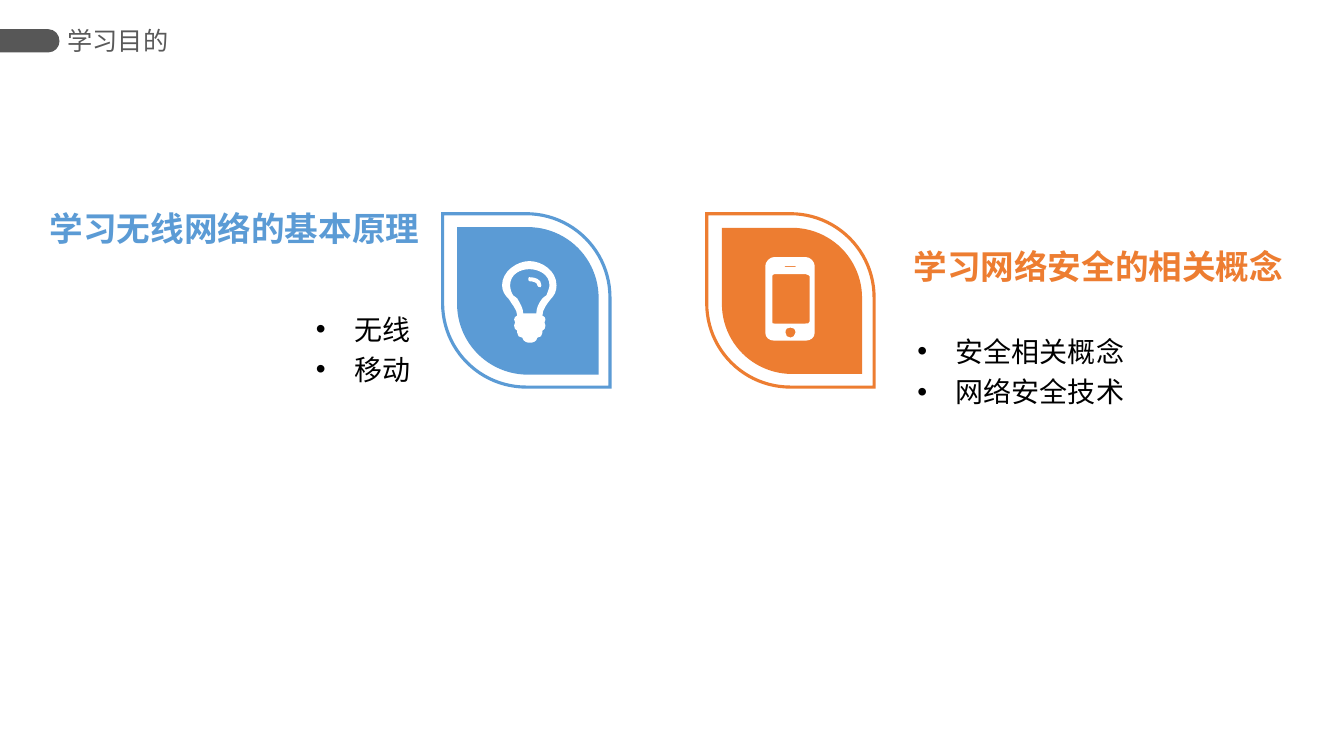
from lxml import etree
from pptx import Presentation
from pptx.dml.color import RGBColor
from pptx.enum import shapes, text
from pptx.oxml.ns import qn
from pptx.util import Inches, Pt

BLUE, ORANGE, WHITE, BLACK = "5B9BD5", "ED7D31", "FFFFFF", "000000"
DARK_GREY, TITLE_GREY = "575757", "595959"

presentation = Presentation()
presentation.slide_width, presentation.slide_height = Inches(13.33), Inches(7.5)
slide = presentation.slides.add_slide(presentation.slide_layouts[5])


def color(target, value):
    """Colour a font, or make a fill solid and colour it."""
    if hasattr(target, "solid"):
        target.solid()
        target.fore_color.rgb = RGBColor.from_string(value)
    else:
        target.color.rgb = RGBColor.from_string(value)


def add_outline(contours, fill):
    """Each contour is a start point, then lines (x, y) or cubic curves (six numbers)."""
    x, y = contours[0][0]
    builder = slide.shapes.build_freeform(Inches(x), Inches(y), scale=1.0)
    for index, (start, *segments) in enumerate(contours):
        if index:
            builder.move_to(Inches(start[0]), Inches(start[1]))
        builder.add_line_segments([(Inches(px), Inches(py)) for segment in segments
                                   for px, py in zip(segment[::2], segment[1::2])])
    shape = builder.convert_to_shape()
    # Join each three control points into one curve
    lines = iter(list(shape._element.iter(qn("a:lnTo"))))
    for segment in (segment for contour in contours for segment in contour[1:]):
        members = [next(lines) for _ in segment[::2]]
        if len(members) == 3:
            curve = etree.Element(qn("a:cubicBezTo"))
            members[0].addprevious(curve)
            for member in members:
                curve.append(member[0])
                member.getparent().remove(member)
    shape.shadow.inherit = False
    color(shape.fill, fill)
    shape.line.fill.background()


# Header tab
add_outline([[(0, 0.29), (0.48, 0.29), (0.54, 0.29, 0.59, 0.34, 0.59, 0.41),
              (0.59, 0.47, 0.54, 0.52, 0.48, 0.52), (0, 0.52)]], DARK_GREY)

# Leaf badges: outer ring and filled core
for left, accent in ((4.36, BLUE), (6.98, ORANGE)):
    for inset, top, width, height in ((0, 2.15, 1.72, 1.66), (0.15, 2.29, 1.45, 1.39)):
        leaf = slide.shapes.add_shape(shapes.MSO_SHAPE.ROUND_2_DIAG_RECTANGLE, Inches(left + inset),
                                      Inches(top), Inches(width), Inches(height))
        leaf.adjustments[0], leaf.adjustments[1] = 0.5, 0
        leaf.rotation = 270
        leaf.shadow.inherit = False
        if inset:
            color(leaf.fill, accent)
        else:
            leaf.fill.background()
        if inset and accent == ORANGE:
            leaf.line.fill.background()
        else:
            color(leaf.line.fill, accent)
            leaf.line.width = Pt(1 if inset else 2.25)
            outline = leaf._element.spPr.find(qn("a:ln"))
            etree.SubElement(outline, qn("a:miter")).set("lim", "800000")

# Light bulb: body, glass, glint
add_outline([
    [(5.46, 2.97), (5.43, 3.01, 5.38, 3.07, 5.38, 3.13), (5.4, 3.14, 5.41, 3.15, 5.41, 3.17),
     (5.41, 3.18, 5.4, 3.19, 5.4, 3.2), (5.4, 3.2, 5.41, 3.22, 5.41, 3.23),
     (5.41, 3.26, 5.4, 3.27, 5.38, 3.28), (5.38, 3.28, 5.38, 3.3, 5.38, 3.3),
     (5.38, 3.33, 5.36, 3.35, 5.33, 3.35),
     (5.32, 3.39, 5.29, 3.4, 5.25, 3.4), (5.23, 3.4, 5.19, 3.39, 5.18, 3.35),
     (5.15, 3.35, 5.13, 3.33, 5.13, 3.3), (5.13, 3.3, 5.13, 3.28, 5.13, 3.28),
     (5.11, 3.27, 5.1, 3.26, 5.1, 3.23),
     (5.1, 3.22, 5.11, 3.2, 5.11, 3.2), (5.11, 3.19, 5.1, 3.18, 5.1, 3.17),
     (5.1, 3.15, 5.11, 3.14, 5.13, 3.13), (5.13, 3.07, 5.07, 3.01, 5.05, 2.97),
     (5.01, 2.93, 4.98, 2.89, 4.98, 2.83), (4.98, 2.69, 5.13, 2.59, 5.25, 2.59),
     (5.38, 2.59, 5.52, 2.69, 5.52, 2.83), (5.52, 2.89, 5.5, 2.93, 5.46, 2.97)],
    [(5.25, 2.67), (5.16, 2.67, 5.06, 2.72, 5.06, 2.83), (5.06, 2.86, 5.07, 2.9, 5.09, 2.93),
     (5.1, 2.94, 5.11, 2.94, 5.13, 2.96), (5.16, 3.01, 5.19, 3.06, 5.19, 3.11),
     (5.32, 3.11, 5.32, 3.11, 5.32, 3.11),
     (5.32, 3.06, 5.34, 3.01, 5.38, 2.96), (5.4, 2.94, 5.41, 2.94, 5.42, 2.93),
     (5.43, 2.9, 5.45, 2.86, 5.45, 2.83), (5.45, 2.72, 5.34, 2.67, 5.25, 2.67)],
    [(5.36, 2.85), (5.34, 2.85, 5.33, 2.84, 5.33, 2.83), (5.33, 2.8, 5.28, 2.79, 5.25, 2.79),
     (5.24, 2.79, 5.24, 2.77, 5.24, 2.76), (5.24, 2.76, 5.24, 2.75, 5.25, 2.75),
     (5.31, 2.75, 5.37, 2.77, 5.37, 2.83), (5.37, 2.84, 5.36, 2.85, 5.36, 2.85)],
], WHITE)

# Phone: case, screen, speaker, button
add_outline([
    [(7.59, 3.3), (7.59, 3.35, 7.63, 3.38, 7.68, 3.38), (7.99, 3.38),
     (8.04, 3.38, 8.08, 3.35, 8.08, 3.3), (8.08, 2.64), (8.08, 2.6, 8.04, 2.55, 7.99, 2.55),
     (7.68, 2.55), (7.63, 2.55, 7.59, 2.6, 7.59, 2.64)],
    [(7.66, 2.74), (7.66, 2.74, 7.66, 2.72, 7.68, 2.72), (7.99, 2.72),
     (8.01, 2.72, 8.03, 2.74, 8.03, 2.74), (8.03, 3.19), (8.03, 3.21, 8.01, 3.21, 7.99, 3.21),
     (7.68, 3.21), (7.66, 3.21, 7.66, 3.21, 7.66, 3.19)],
    [(7.79, 2.64), (7.89, 2.64), (7.89, 2.65), (7.78, 2.65)],
    [(7.84, 3.25), (7.86, 3.25, 7.89, 3.26, 7.89, 3.3), (7.89, 3.33, 7.86, 3.35, 7.84, 3.35),
     (7.81, 3.35, 7.79, 3.33, 7.79, 3.3), (7.79, 3.26, 7.81, 3.25, 7.84, 3.25)],
], WHITE)

# Title, headings and bullet lists
LEFT, RIGHT = text.PP_ALIGN.LEFT, text.PP_ALIGN.RIGHT
TOP, MIDDLE, BOTTOM = (text.MSO_ANCHOR.TOP, text.MSO_ANCHOR.MIDDLE, text.MSO_ANCHOR.BOTTOM)
title = slide.shapes.title
blocks = [  # shape, box, insets, anchor, alignment, size, colour, lines
    (title, (0.67, 0.19, 2.33, 0.42), (0, 0.05, 0, 0.05), MIDDLE, LEFT, 18, TITLE_GREY,
     ["学习目的"]),
    (None, (0.41, 2.98, 4.05, 1.84), (0.1, 0.05, 0.39, 0.05), TOP, RIGHT, 20, BLACK,
     ["无线", "移动"]),
    (None, (1.58, 1.78, 2.97, 0.68), (0, 0, 0.39, 0), BOTTOM, RIGHT, 24, BLUE,
     ["学习无线网络的基本原理"]),
    (None, (8.71, 2.82, 3.6, 1.66), (0.39, 0.05, 0.24, 0.05), MIDDLE, LEFT, 20, BLACK,
     ["安全相关概念", "网络安全技术"]),
    (None, (8.67, 2.44, 4.32, 0.4), (0.39, 0, 0.24, 0), MIDDLE, LEFT, 24, ORANGE,
     ["学习网络安全的相关概念"]),
]
for shape, box, insets, anchor, alignment, size, font_color, lines in blocks:
    box = [Inches(value) for value in box]
    if shape is None:
        shape = slide.shapes.add_textbox(*box)
    else:
        shape.left, shape.top, shape.width, shape.height = box
    frame = shape.text_frame
    frame.margin_left, frame.margin_top, frame.margin_right, frame.margin_bottom = [
        Inches(value) for value in insets]
    frame.auto_size = (text.MSO_AUTO_SIZE.SHAPE_TO_FIT_TEXT if font_color == ORANGE
                       else text.MSO_AUTO_SIZE.NONE)
    frame.word_wrap = font_color != BLUE
    frame.vertical_anchor = anchor
    for index, line in enumerate(lines):
        paragraph = frame.add_paragraph() if index else frame.paragraphs[0]
        paragraph.alignment = alignment
        if len(lines) > 1:
            properties = paragraph._p.get_or_add_pPr()
            properties.set("marL", str(Inches(0.38)))
            properties.set("indent", str(Inches(-0.38)))
            etree.SubElement(properties, qn("a:buFont")).set("typeface", "Arial")
            etree.SubElement(properties, qn("a:buChar")).set("char", "•")
            paragraph.line_spacing = 1.2
        run = paragraph.add_run()
        run.text = line
        run.font.name, run.font.size, run.font.bold = "Arial", Pt(size), size == 24
        color(run.font, font_color)

presentation.save("out.pptx")
